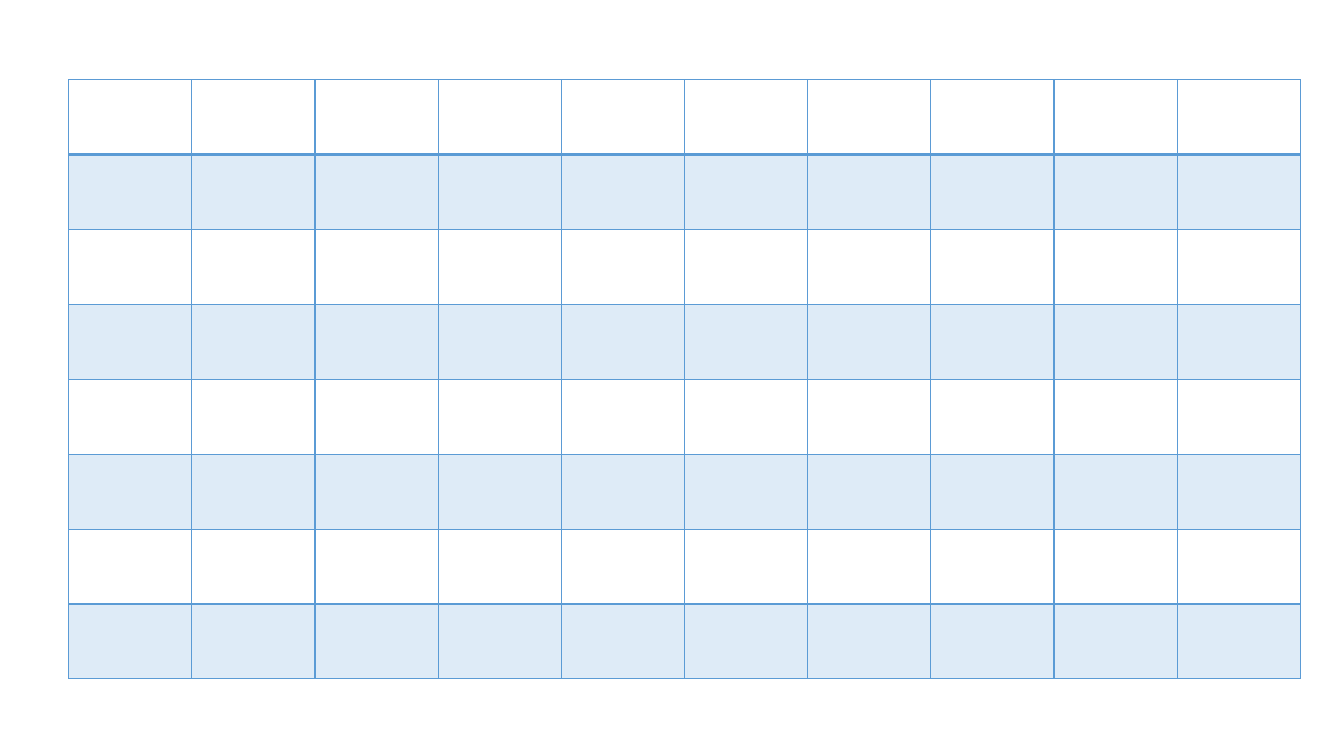
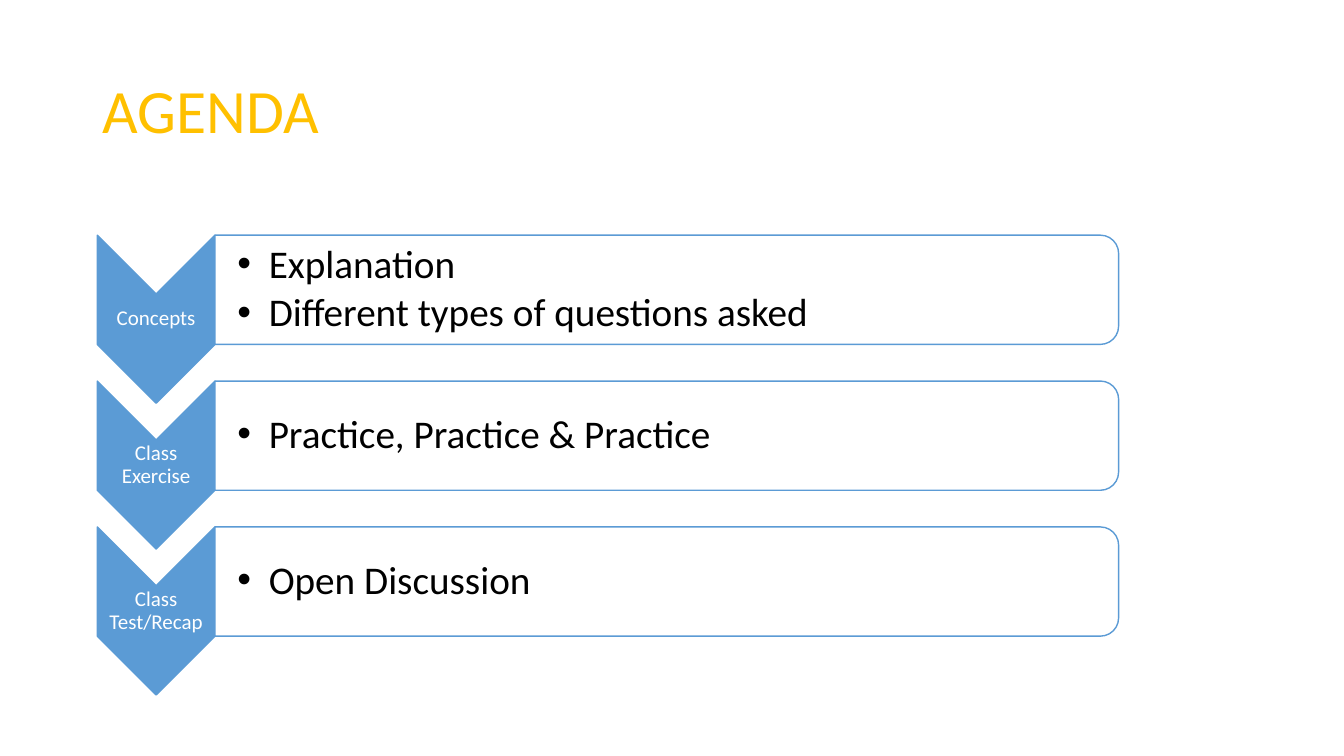
from lxml.etree import SubElement
from pptx import Presentation
from pptx.dml.color import RGBColor
from pptx.enum.shapes import MSO_SHAPE
from pptx.enum.text import MSO_ANCHOR, PP_ALIGN
from pptx.oxml.ns import qn
from pptx.util import Pt

FONT = "Calibri"
BLUE, PALE_BLUE, GOLD = "5B9BD5", "DEEBF7", "FFC000"
WHITE, BLACK = "FFFFFF", "000000"
TITLE_ONLY, BLANK = 5, 6

AGENDA = [
    ("Concepts", ["Explanation", "Different types of questions asked"]),
    ("Class Exercise", ["Practice, Practice & Practice"]),
    ("Class Test/Recap", ["Open Discussion"]),
]


def rgb(color):
    return RGBColor.from_string(color)


def format_paragraph(paragraph, size, color, alignment=PP_ALIGN.LEFT):
    paragraph.alignment = alignment
    paragraph.line_spacing = 0.9
    paragraph.font.name = FONT
    paragraph.font.size = Pt(size)
    paragraph.font.color.rgb = rgb(color)


def add_bullet(paragraph, indent):
    properties = paragraph._p.get_or_add_pPr()
    properties.set("marL", str(Pt(indent)))
    properties.set("indent", str(-Pt(indent)))
    SubElement(properties, qn("a:buFont"), typeface="Arial")
    SubElement(properties, qn("a:buChar"), char="•")


def add_text_frame(slide, left, top, width, height, inset, left_inset):
    text_box = slide.shapes.add_textbox(Pt(left), Pt(top), Pt(width), Pt(height))
    frame = text_box.text_frame
    frame.word_wrap = True
    frame.vertical_anchor = MSO_ANCHOR.MIDDLE
    frame.margin_top = frame.margin_right = frame.margin_bottom = Pt(inset)
    frame.margin_left = Pt(left_inset)
    return frame


def add_turned_shape(slide, kind, left, top, width, height, fill):
    """Add a shape turned by 90 degrees that covers the given box."""
    shape = slide.shapes.add_shape(
        kind, Pt(left + (width - height) / 2), Pt(top + (height - width) / 2),
        Pt(height), Pt(width))
    shape.rotation = 90
    shape.shadow.inherit = False
    shape.fill.solid()
    shape.fill.fore_color.rgb = rgb(fill)
    shape.line.color.rgb = rgb(BLUE)
    shape.line.width = Pt(1)


def set_cell_borders(cell, bottom_width):
    properties = cell._tc.get_or_add_tcPr()
    widths = {"a:lnL": 1, "a:lnR": 1, "a:lnT": 1, "a:lnB": bottom_width}
    for position, (tag, width) in enumerate(widths.items()):
        line = properties.makeelement(qn(tag), {"w": str(Pt(width))})
        fill = SubElement(line, qn("a:solidFill"))
        SubElement(fill, qn("a:srgbClr"), val=BLUE)
        properties.insert(position, line)


def add_grid(slide, left, top, width, height, rows, columns):
    table = slide.shapes.add_table(
        rows, columns, Pt(left), Pt(top), Pt(width), Pt(height)).table
    table.first_row = table.horz_banding = False
    for row in range(rows):
        for column in range(columns):
            cell = table.cell(row, column)
            if row % 2:
                cell.fill.solid()
                cell.fill.fore_color.rgb = rgb(PALE_BLUE)
            else:
                cell.fill.background()
            set_cell_borders(cell, 2 if row == 0 else 1)


def add_title(slide, text, left, top, width, height):
    title = slide.shapes.title
    title.left, title.top = Pt(left), Pt(top)
    title.width, title.height = Pt(width), Pt(height)
    title.text_frame.text = text
    title.text_frame.vertical_anchor = MSO_ANCHOR.MIDDLE
    format_paragraph(title.text_frame.paragraphs[0], 44, GOLD)


def add_agenda_row(slide, left, top, width, height, label, items):
    chevron_width, box_height = 84, 78
    box_left, box_width = left + chevron_width, width - chevron_width

    # Chevron and its label
    add_turned_shape(slide, MSO_SHAPE.CHEVRON,
                     left, top, chevron_width, height, BLUE)
    frame = add_text_frame(slide, left, top + 42, chevron_width, 36, 0.7, 0.7)
    frame.text = label
    format_paragraph(frame.paragraphs[0], 15, WHITE, PP_ALIGN.CENTER)

    # Rounded box and its list
    add_turned_shape(slide, MSO_SHAPE.ROUND_2_SAME_RECTANGLE,
                     box_left, top, box_width, box_height, WHITE)
    frame = add_text_frame(slide, box_left, top + 4, box_width - 4,
                           box_height - 8, 1.5, 16)
    frame.text = "\n".join(items)
    for paragraph in frame.paragraphs:
        add_bullet(paragraph, 22.5)
        format_paragraph(paragraph, 28, BLACK)
        paragraph.space_after = Pt(4.2)


def build_grid_slide(presentation):
    slide = presentation.slides.add_slide(presentation.slide_layouts[BLANK])
    add_grid(slide, 49, 57, 880, 428, rows=8, columns=10)


def build_agenda_slide(presentation):
    slide = presentation.slides.add_slide(presentation.slide_layouts[TITLE_ONLY])
    add_title(slide, "AGENDA", 66, 29, 828, 104)
    for index, (label, items) in enumerate(AGENDA):
        add_agenda_row(slide, 69.5, 168 + index * 104.2, 729.5, 120, label, items)


def main():
    presentation = Presentation()
    presentation.slide_width, presentation.slide_height = Pt(960), Pt(540)
    build_grid_slide(presentation)
    build_agenda_slide(presentation)
    presentation.save("out.pptx")


if __name__ == "__main__":
    main()
